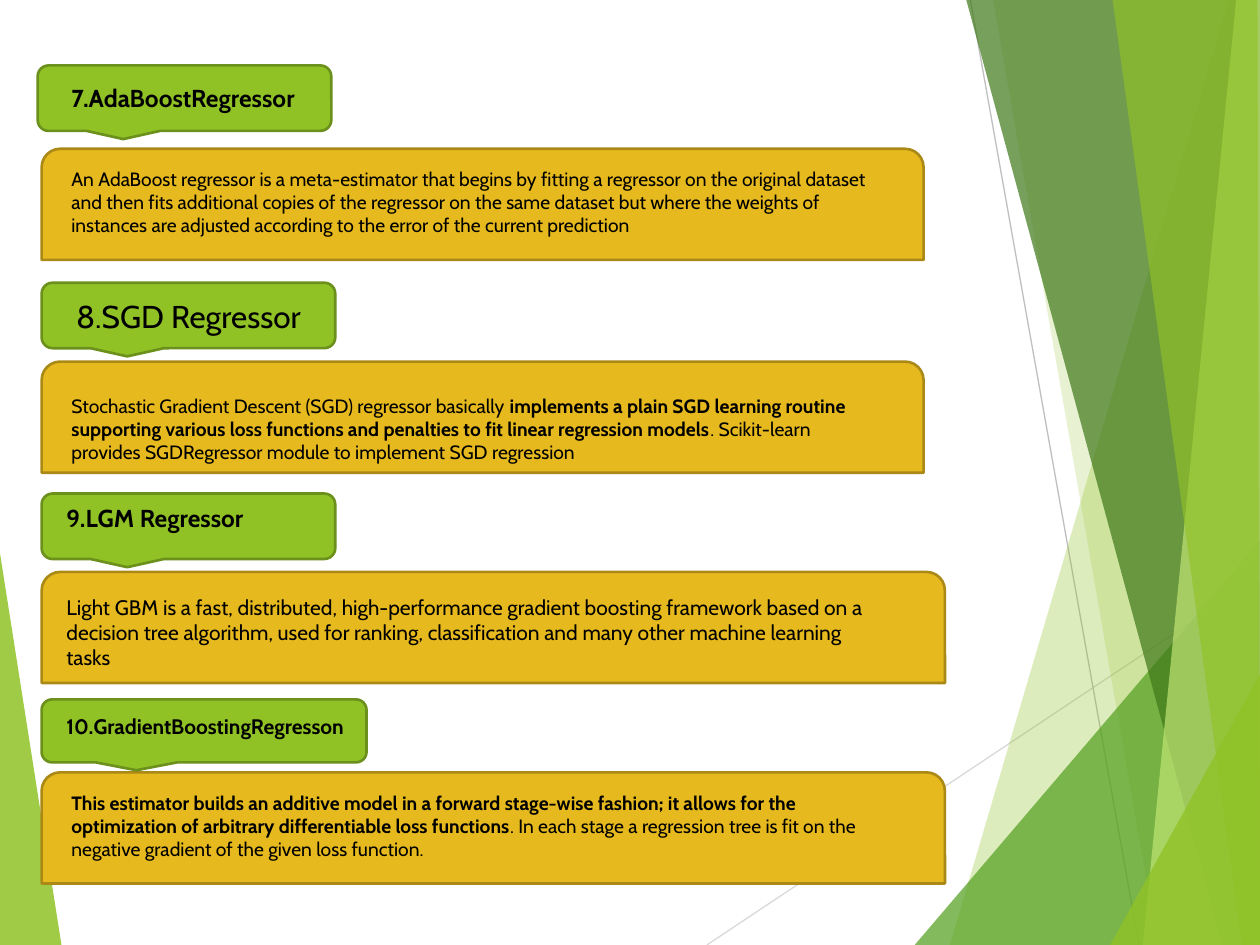
from lxml.etree import SubElement
from pptx import Presentation
from pptx.dml.color import RGBColor
from pptx.enum.shapes import MSO_CONNECTOR, MSO_SHAPE
from pptx.enum.text import MSO_ANCHOR, MSO_AUTO_SIZE, PP_ALIGN
from pptx.oxml.ns import qn
from pptx.util import Cm, Pt

COLORS = {
    "lime": "90C226", "green": "54A021", "dark": "3F7819", "pale": "C0E474",
    "edge": "6B901C", "gold": "E6B91E", "rim": "AA8916", "text": "000000",
    "light": "D9D9D9", "gray": "BFBFBF",
}
WIDE, HIGH = 25.4, 19.05


def color(name):
    return RGBColor.from_string(COLORS[name])


def write(shape, runs, size):
    """Fill the shape with one paragraph of (text, bold) runs."""
    frame = shape.text_frame
    frame.word_wrap = True
    para = frame.paragraphs[0]
    para.font.size = Pt(size)
    para.font.name = "Cabin"
    para.font.color.rgb = color("text")
    for text, bold in runs:
        run = para.add_run()
        run.text = text
        run.font.bold = bold
    return frame


deck = Presentation()
deck.slide_width, deck.slide_height = Cm(WIDE), Cm(HIGH)
shapes = deck.slides.add_slide(deck.slide_layouts[6]).shapes

# Thin background lines
for x1, y1, x2, y2, tone in [
    (14.25, HIGH, WIDE, 11.62, "light"),
    (19.56, 0, 22.96, HIGH, "gray"),
]:
    line = shapes.add_connector(
        MSO_CONNECTOR.STRAIGHT, Cm(x1), Cm(y1), Cm(x2), Cm(y2))
    line.line.color.rgb = color(tone)
    line.line.width = Pt(0.75)
    SubElement(line._element.spPr, qn("a:effectLst"))

# Translucent facets: corner points in cm, colour, opacity in percent
base, top = (WIDE, HIGH), (WIDE, 0)
facets = [
    ([(0, 11.15), (1.24, HIGH), (0, HIGH)], "lime", 85),
    ([(24.77, 0), (19.15, HIGH), base, top], "lime", 30),
    ([(20.02, 0), (23.34, HIGH), base, top], "lime", 20),
    ([(18.44, HIGH), (WIDE, 10.9), base], "green", 72),
    ([(19.48, 0), (24.64, HIGH), base, top], "dark", 70),
    ([(24.92, 0), (23.04, HIGH), base, top], "pale", 70),
    ([(22.43, 0), (25.04, HIGH), base, (25.35, 0)], "lime", 65),
    ([(22.38, HIGH), (WIDE, 13.59), base], "lime", 80),
]
for points, tone, alpha in facets:
    dots = [(x * 100, y * 100) for x, y in points]
    pen = shapes.build_freeform(*dots[0], scale=Cm(0.01))
    pen.add_line_segments(dots[1:], close=True)
    facet = pen.convert_to_shape()
    facet.shadow.inherit = False
    facet.fill.solid()
    facet.fill.fore_color.rgb = color(tone)
    facet.line.fill.background()
    fill = facet._element.spPr.find(qn("a:solidFill"))
    SubElement(fill[0], qn("a:alpha"), val=str(alpha * 1000))

# Each section: callout box, heading (box, size), panel box, body (box, size, runs)
sections = [
    ((0.76, 1.32, 5.92, 1.32),
     "7.AdaBoostRegressor", (1.19, 1.55, 5.41, 0.86), 14,
     (0.84, 3, 17.78, 2.24), (1.19, 3.25, 16.59, 1.68), 11,
     [("An AdaBoost regressor is a meta-estimator that begins by fitting a "
       "regressor on the original dataset and then fits additional copies of "
       "the regressor on the same dataset but where the weights of instances "
       "are adjusted according to the error of the current prediction", False)]),
    ((0.84, 5.7, 5.92, 1.32),
     "8.SGD Regressor", None, 18,
     (0.84, 7.29, 17.78, 2.24), (1.19, 7.82, 16.59, 1.68), 11,
     [("Stochastic Gradient Descent (SGD) regressor basically ", False),
      ("implements a plain SGD learning routine supporting various loss "
       "functions and penalties to fit linear regression models", True),
      (". Scikit-learn provides SGDRegressor module to implement SGD "
       "regression", False)]),
    ((0.84, 9.95, 5.92, 1.32),
     "9.LGM Regressor", (1.09, 10.01, 5.41, 0.86), 14,
     (0.84, 11.53, 18.21, 2.24), (1.09, 11.86, 17.09, 1.8), 12,
     [("Light GBM is a fast, distributed, high-performance gradient boosting "
       "framework based on a decision tree algorithm, used for ranking, "
       "classification and many other machine learning tasks", False)]),
    ((0.84, 14.1, 6.55, 1.27),
     "10.GradientBoostingRegresson", (1.09, 14.25, 6.93, 0.76), 12,
     (0.84, 15.57, 18.21, 2.24), (1.19, 15.82, 16.71, 1.68), 11,
     [("This estimator builds an additive model in a forward stage-wise "
       "fashion; it allows for the optimization of arbitrary differentiable "
       "loss functions", True),
      (". In each stage a regression tree is fit on the negative gradient of "
       "the given loss function.", False)]),
]
for label, title, spot, big, panel, area, small, runs in sections:
    for kind, box, tone, rim in [
        (MSO_SHAPE.ROUND_2_SAME_RECTANGLE, panel, "gold", "rim"),
        (MSO_SHAPE.ROUNDED_RECTANGULAR_CALLOUT, label, "lime", "edge"),
    ]:
        card = shapes.add_shape(kind, *map(Cm, box))
        card.shadow.inherit = False
        card.fill.solid()
        card.fill.fore_color.rgb = color(tone)
        card.line.color.rgb = color(rim)
        card.line.width = Pt(1.5)

    if spot:
        head = shapes.add_textbox(*map(Cm, spot))
        write(head, [(title, True)], big).auto_size = MSO_AUTO_SIZE.SHAPE_TO_FIT_TEXT
    else:
        frame = write(card, [(title, False)], big)
        frame.vertical_anchor = MSO_ANCHOR.MIDDLE
        frame.paragraphs[0].alignment = PP_ALIGN.CENTER

    body = shapes.add_textbox(*map(Cm, area))
    write(body, runs, small).auto_size = MSO_AUTO_SIZE.SHAPE_TO_FIT_TEXT

deck.save("out.pptx")
